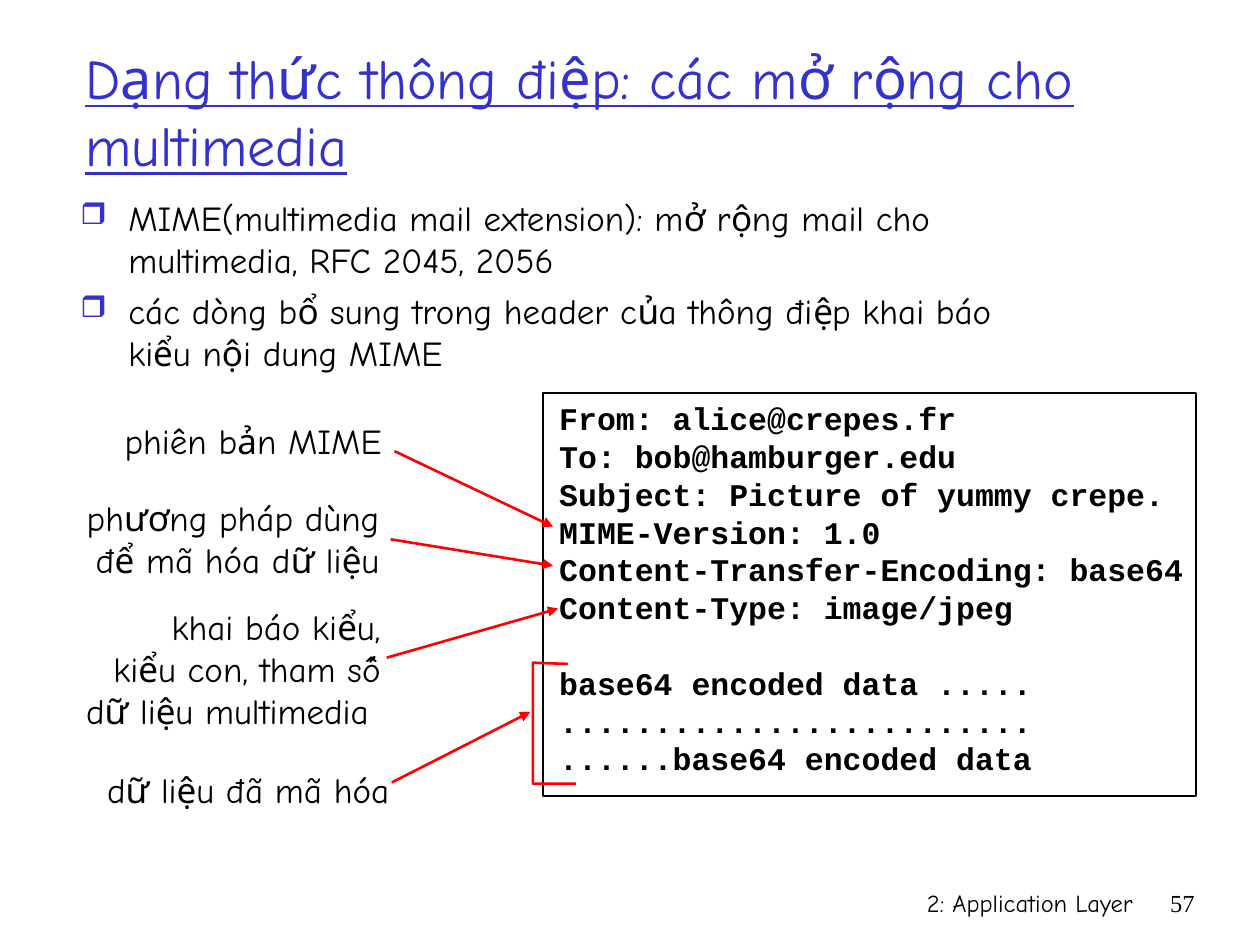
from pptx import Presentation
from pptx.dml.color import RGBColor
from pptx.enum.shapes import MSO_CONNECTOR, MSO_SHAPE
from pptx.enum.text import MSO_ANCHOR, PP_ALIGN
from pptx.oxml.ns import qn
from pptx.util import Inches, Pt
from lxml.etree import SubElement

COLORS = {"ink": "000000", "title": "3333CC", "arrow": "FF0000"}
HAND, MONO, SERIF = "Comic Neue", "Courier New", "Times New Roman"
LEFT, CENTER, RIGHT = PP_ALIGN.LEFT, PP_ALIGN.CENTER, PP_ALIGN.RIGHT

# Content
TITLE = "Dạng thức thông điệp: các mở rộng cho multimedia"
BULLETS = [
    "MIME(multimedia mail extension): mở rộng mail cho multimedia, RFC 2045, 2056",
    "các dòng bổ sung trong header của thông điệp khai báo kiểu nội dung MIME",
]
HEADER_LINES = [
    "From: alice@crepes.fr",
    "To: bob@hamburger.edu",
    "Subject: Picture of yummy crepe.",
    "MIME-Version: 1.0",
    "Content-Transfer-Encoding: base64",
    "Content-Type: image/jpeg",
]
BODY_LINES = [
    "base64 encoded data .....",
    ".........................",
    "......base64 encoded data",
]
# Each label: lines, box, alignment, wrap, arrow start, arrow end
LABELS = [
    (["phiên bản MIME"], (0.89, 3.28, 2.24, 0.44), CENTER, False,
     (3.13, 3.58), (4.39, 4.18)),
    (["phương pháp dùng để mã hóa dữ liệu"], (0.5, 3.89, 2.61, 0.77), RIGHT, True,
     (3.1, 4.28), (4.39, 4.49)),
    (["khai báo kiểu,", "kiểu con, tham số", "dữ liệu multimedia "],
     (0.58, 4.76, 2.54, 1.1), RIGHT, False, (3.07, 5.22), (4.43, 4.83)),
    (["dữ liệu đã mã hóa"], (0.75, 6.05, 2.44, 0.44), CENTER, False,
     (3.11, 6.21), (4.21, 5.65)),
]
BRACKET = [(4.51, 5.27), (4.23, 5.26), (4.23, 6.22), (4.57, 6.22)]
FOOTERS = [
    ("2: Application Layer", (5.92, 7, 3.17, 0.5), HAND),
    ("57", (9.08, 7, 0.5, 0.5), SERIF),
]


def color(name):
    return RGBColor.from_string(COLORS[name])


def add_text(page, lines, at, size, face=HAND, ink="ink", align=LEFT,
             wrap=True, bold=False, underline=False):
    frame = page.shapes.add_textbox(*map(Inches, at)).text_frame
    frame.word_wrap = wrap
    for i, line in enumerate(lines):
        para = frame.add_paragraph() if i else frame.paragraphs[0]
        para.alignment = align
        span = para.add_run()
        span.text = line
        span.font.name = face
        span.font.size = Pt(size)
        span.font.bold = bold
        span.font.underline = underline
        span.font.color.rgb = color(ink)
    return frame


def add_bullet(para):
    props = para._p.get_or_add_pPr()
    props.set("marL", str(Inches(0.38)))
    props.set("indent", str(-Inches(0.38)))
    tint = SubElement(props, qn("a:buClr"))
    SubElement(tint, qn("a:srgbClr"), val=COLORS["title"])
    SubElement(props, qn("a:buSzPct"), val="85000")
    SubElement(props, qn("a:buChar"), char="❒")


def set_line(shape, name, width):
    shape.line.color.rgb = color(name)
    shape.line.width = Pt(width)


def add_arrow(page, start, end):
    arrow = page.shapes.add_connector(
        MSO_CONNECTOR.STRAIGHT, *map(Inches, start + end))
    set_line(arrow, "arrow", 1.5)
    SubElement(arrow.line._get_or_add_ln(), qn("a:tailEnd"), type="triangle")
    SubElement(arrow._element.spPr, qn("a:effectLst"))


def main():
    deck = Presentation()
    deck.slide_width, deck.slide_height = Inches(10), Inches(7.5)
    page = deck.slides.add_slide(deck.slide_layouts[6])

    # Footer and page number
    for text, at, face in FOOTERS:
        add_text(page, [text], at, 14, face, align=RIGHT)

    # Title and bullets
    title = add_text(page, [TITLE], (0.58, 0.25, 9.17, 1.25), 32,
                     ink="title", underline=True)
    title.vertical_anchor = MSO_ANCHOR.MIDDLE
    bullets = add_text(page, BULLETS, (0.54, 1.51, 8.01, 1.55), 20)
    for para in bullets.paragraphs:
        add_bullet(para)
    bullets.paragraphs[1].space_before = Pt(5)

    # Message text, with a one-line gap between header and body
    message = add_text(page, HEADER_LINES + BODY_LINES, (4.34, 3.12, 5.44, 3.4),
                       18, MONO, bold=True)
    message.paragraphs[len(HEADER_LINES)].space_before = Pt(21.6)
    border = page.shapes.add_shape(
        MSO_SHAPE.RECTANGLE, *map(Inches, (4.31, 3.12, 5.18, 3.2)))
    border.shadow.inherit = False
    border.fill.background()
    set_line(border, "ink", 1)

    # Labels and their arrows
    for lines, at, align, wrap, start, end in LABELS:
        add_text(page, lines, at, 20, align=align, wrap=wrap)
        add_arrow(page, start, end)

    # Bracket around the encoded data
    points = [(Inches(x), Inches(y)) for x, y in BRACKET]
    outline = page.shapes.build_freeform(*points[0])
    outline.add_line_segments(points[1:], close=False)
    bracket = outline.convert_to_shape()
    bracket.shadow.inherit = False
    bracket.fill.background()
    set_line(bracket, "arrow", 1.5)

    deck.save("out.pptx")


if __name__ == "__main__":
    main()
